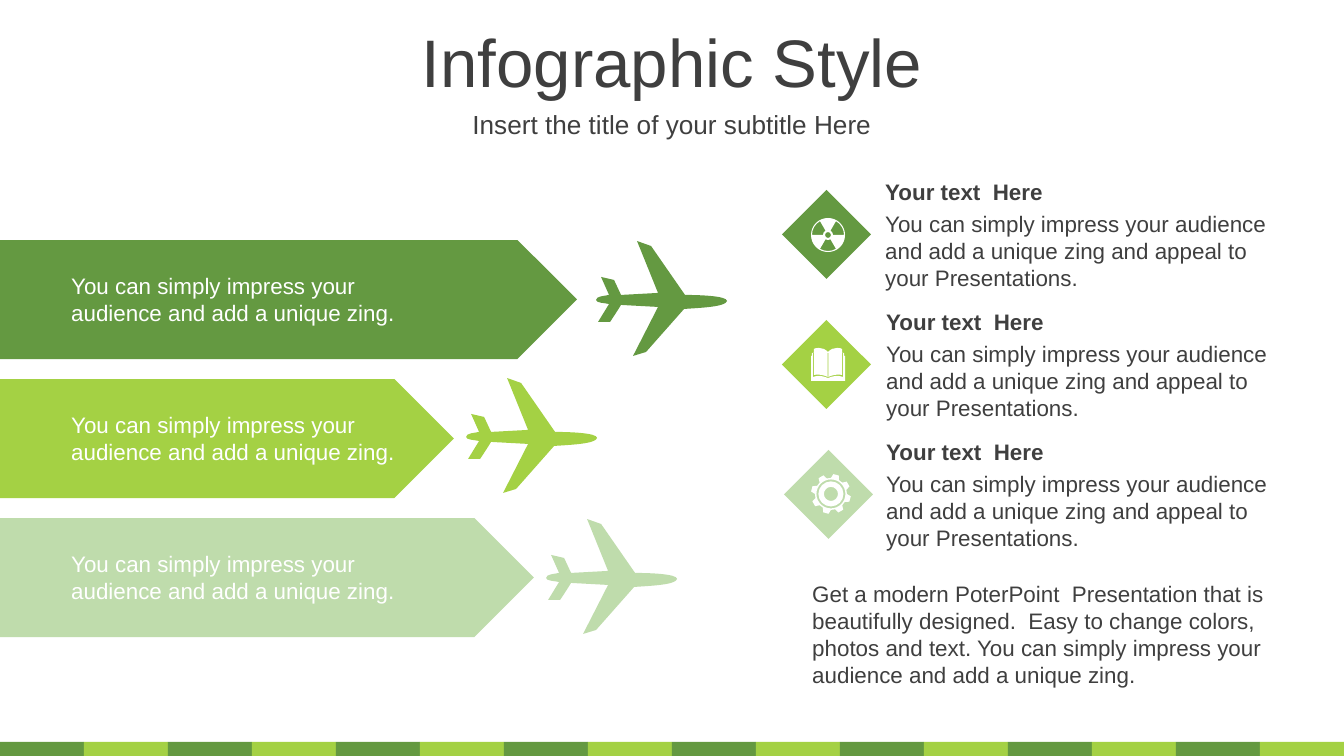
"""Build the airplane infographic slide."""
from math import cos, radians, sin, tan

from pptx import Presentation
from pptx import util as u
from pptx.dml.color import RGBColor
from pptx.enum import shapes, text
from pptx.oxml import ns, xmlchemy as xml

THEME = {
    "green": "649941", "lime": "A4D144", "pale": "BFDCAC",
    "white": "FFFFFF", "ink": "3F3F3F",
    "font": "Arial", "title": 36, "sub": 14, "body": 12,
}
WIDE, HIGH = 1344, 756
SCALE = 9144000 / WIDE
TILT = 133.8

TITLE = "Infographic Style"
SUB = "Insert the title of your subtitle Here"
CLAIM = "You can simply impress your audience and add a unique zing."
HEAD = "Your text  Here"
BODY = ("You can simply impress your audience and add a unique zing "
        "and appeal to your Presentations.")
CLOSE = ("Get a modern PoterPoint  Presentation that is beautifully designed.  "
         "Easy to change colors, photos and text. You can simply impress your "
         "audience and add a unique zing.")

# Each bar: color, length, plane left, plane top
BARS = [
    ("green", 577, 596, 241),
    ("lime", 454, 466, 378),
    ("pale", 534, 546, 519),
]
# Each item: color, icon, diamond left, text left, icon center
ITEMS = [
    ("green", "atom", 782, 872, (828, 235)),
    ("lime", "book", 782, 873, (828, 364)),
    ("pale", "gear", 784, 873, (831, 494)),
]

PLANE = [
    (2, 81), (13, 63), (9, 62, 0, 62, 0, 59), (0, 55, 9, 55, 13, 54),
    (5, 36), (18, 39), (25, 54), (62, 52), (41, 0), (55, 5), (89, 54),
    (104, 54, 131, 55, 131, 60), (130, 66, 103, 67, 88, 68),
    (50, 111), (37, 115), (62, 66), (25, 64), (22, 69, 14, 81, 14, 81),
]
COVER = [
    (0, -12), (3, -15, 6, -16, 9, -16), (11, -16, 13, -16, 14, -15),
    (14, -11), (16, -11), (16, -8), (17, -8), (17, 17), (0, 17),
]
PAGE = [
    (0, 14), (5, 12, 10, 11, 15, 13), (15, -11), (14, -11), (14, 11),
    (10, 10, 5, 11, 0, 13),
]
SPINE = [(0, -11), (0.3, -11), (0.3, 13), (0, 13)]


def px(num):
    return u.Emu(round(num * SCALE))


def pairs(seg):
    return list(zip(seg[::2], seg[1::2]))


def polar(rad, deg):
    return rad * cos(radians(deg)), rad * sin(radians(deg))


def turn(point, deg):
    (x, y), (c, s) = point, polar(1, deg)
    return x * c - y * s, x * s + y * c


def mirror(ring):
    """Close a right half with its mirrored left half."""
    back = []
    for prev, seg in reversed(list(zip(ring, ring[1:]))):
        pts = pairs(seg)[-2::-1] + [prev[-2:]]
        back.append(tuple(v for x, y in pts for v in (-x, y)))
    return ring + back


def arc(rad, start=0, end=360, count=4):
    step = (end - start) / count
    pull = 4 / 3 * tan(radians(step / 4))
    ring = [polar(rad, start)]
    for i in range(count):
        a, b = start + i * step, start + (i + 1) * step
        (x, y), (z, w) = polar(rad, a), polar(rad, b)
        ring.append((x - pull * y, y + pull * x, z + pull * w, w - pull * z, z, w))
    return ring


TEETH = [polar(rad, mid + off) for mid in range(15, 375, 45)
         for rad, off in ((16, -15), (20, -8), (20, 8), (16, 15))]
ICONS = {
    "atom": [arc(17)] + [arc(16, a, a + 60, 1) + arc(5, a + 60, a, 1)
                         for a in (60, 180, 300)] + [arc(3)],
    "book": [mirror(COVER), mirror(PAGE), mirror(SPINE)],
    "gear": [TEETH, arc(14.5), arc(12.5), arc(7)],
}


def paint(shape, color):
    shape.shadow.inherit = False
    shape.fill.solid()
    shape.fill.fore_color.rgb = RGBColor.from_string(THEME[color])
    shape.line.fill.background()


def block(tree, kind, color, *box):
    paint(tree.add_shape(kind, *map(px, box)), color)


def bend(shape, rings):
    """Join each curve's three points into one cubic segment."""
    lines = iter(list(shape.element.iter(ns.qn("a:lnTo"))))
    for seg in (seg for ring in rings for seg in ring[1:]):
        first = next(lines)
        if len(seg) == 2:
            continue
        curve = xml.OxmlElement("a:cubicBezTo")
        first.addprevious(curve)
        for line in (first, next(lines), next(lines)):
            curve.append(line[0])
            line.getparent().remove(line)


def outline(tree, rings, color, left, top, tilt=0):
    """Draw closed rings as one filled outline."""
    pen = None
    for ring in rings:
        pts = [turn(p, -tilt) for seg in ring for p in pairs(seg)]
        pts = [(px(left + x), px(top + y)) for x, y in pts]
        if pen is None:
            pen = tree.build_freeform(*pts[0])
        else:
            pen.move_to(*pts[0])
        pen.add_line_segments(pts[1:], close=True)
    shape = pen.convert_to_shape()
    bend(shape, rings)
    paint(shape, color)
    if tilt:
        half, rise = shape.width / 2, shape.height / 2
        x, y = turn((shape.left + half - px(left), shape.top + rise - px(top)), tilt)
        shape.left = round(px(left) + x - half)
        shape.top = round(px(top) + y - rise)
        shape.rotation = tilt


def write(shape, words, size="body", color="ink", bold=False, center=False):
    frame = shape.text_frame
    frame.word_wrap = True
    frame.auto_size = text.MSO_AUTO_SIZE.NONE
    frame.vertical_anchor = text.MSO_ANCHOR.MIDDLE
    para = frame.paragraphs[0]
    para.alignment = text.PP_ALIGN.CENTER if center else text.PP_ALIGN.LEFT
    run = para.add_run()
    run.text = words
    run.font.name = THEME["font"]
    run.font.size = u.Pt(THEME[size])
    run.font.bold = bold
    run.font.color.rgb = RGBColor.from_string(THEME[color])


def label(tree, box, words, **look):
    write(tree.add_textbox(*map(px, box)), words, **look)


def main():
    deck = Presentation()
    deck.slide_width, deck.slide_height = px(WIDE), px(HIGH)
    slide = deck.slides.add_slide(deck.slide_layouts[5])
    tree = slide.shapes
    kind = shapes.MSO_SHAPE

    for i in range(16):
        block(tree, kind.RECTANGLE, ("green", "lime")[i % 2],
              i * 84, 742, 84, 14)

    title = tree.title
    title.left, title.top, title.width, title.height = map(px, (0, 18, WIDE, 85))
    write(title, TITLE, size="title", center=True)
    label(tree, (0, 103, WIDE, 42), SUB, size="sub", center=True)

    for i, (color, length, left, top) in enumerate(BARS):
        y = 240 + i * 139
        block(tree, kind.PENTAGON, color, 0, y, length, 119)
        outline(tree, [PLANE], color, left, top, TILT)
        label(tree, (58, y + 26, 360, 67), CLAIM, color="white")

    for i, (color, icon, left, edge, spot) in enumerate(ITEMS):
        y = 171 + i * 130
        block(tree, kind.DIAMOND, color, left, y + 19, 89, 89)
        outline(tree, ICONS[icon], "white", *spot)
        label(tree, (edge, y + 32, 414, 95), BODY)
        label(tree, (edge, y, 414, 41), HEAD, bold=True)

    label(tree, (799, 573, 508, 122), CLOSE)
    deck.save("out.pptx")


if __name__ == "__main__":
    main()
